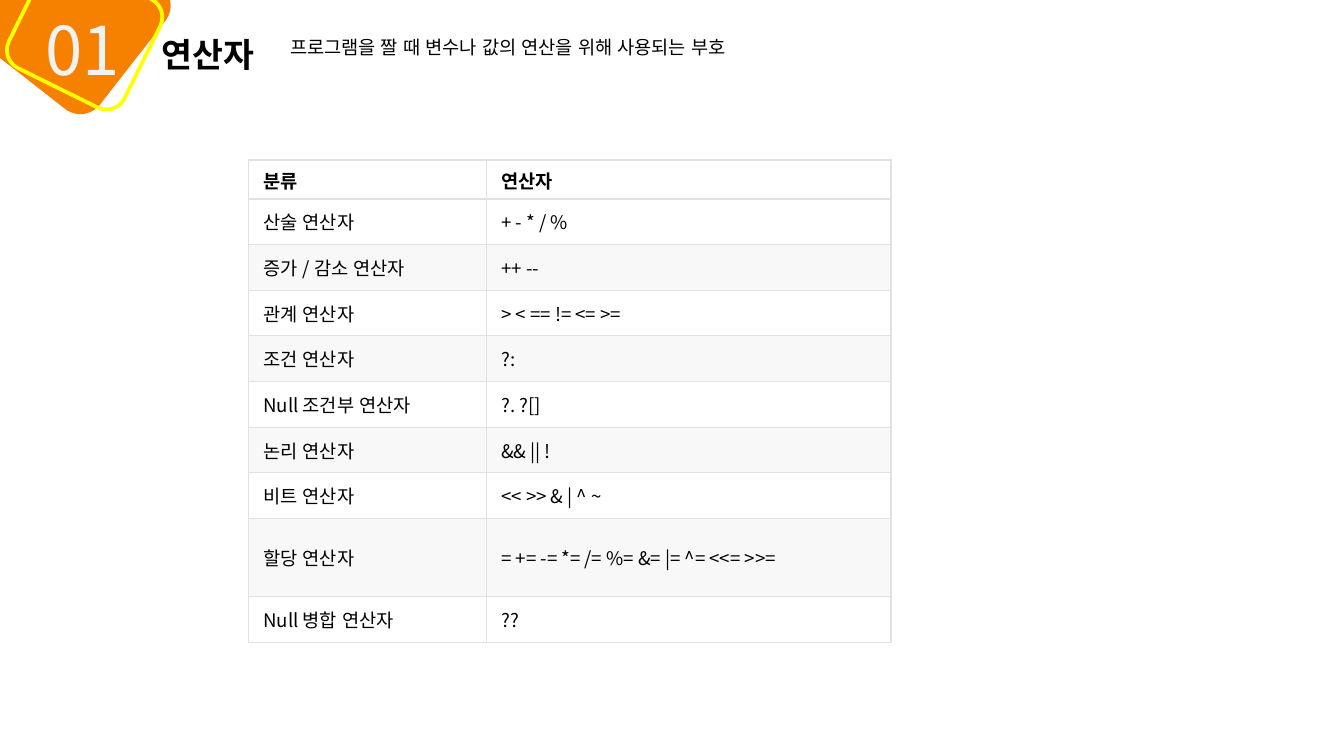
"""Build a slide that lists operator categories in a table."""
from typing import NamedTuple

from lxml import etree
from pptx import Presentation
from pptx import util as u
from pptx.dml.color import RGBColor
from pptx.enum import lang, shapes, text
from pptx.oxml.ns import qn

FONT = "Noto Sans CJK KR"
BLACK = RGBColor(0x00, 0x00, 0x00)
ORANGE = RGBColor(0xF6, 0x81, 0x00)
YELLOW = RGBColor(0xFF, 0xFF, 0x00)
PALE = RGBColor(0xF2, 0xF2, 0xF2)
BAND = RGBColor(0xF8, 0xF8, 0xF8)
BORDER = RGBColor(0xDF, 0xE2, 0xE5)

WIDTH = u.Inches(10)
HEIGHT = u.Emu(WIDTH * 9 // 16)
GRID_COLUMNS = 1000
GRID_ROWS = GRID_COLUMNS * 9 / 16


class Area(NamedTuple):
    """A rectangle in grid columns and rows."""
    column: int
    row: int
    columns: int
    rows: int


class Operator(NamedTuple):
    """A table row: category, symbols and height in grid rows."""
    category: str
    symbols: str
    rows: int = 34


class Badge(NamedTuple):
    """A rotated rounded square, either filled or outlined."""
    area: Area
    rotation: float
    fill: RGBColor | None = None
    line: RGBColor | None = None


TITLE = Area(110, 20, 96, 40)
NUMBER = Area(24, 1, 87, 71)
SUMMARY = Area(206, 22, 500, 27)
TABLE_LEFT, TABLE_TOP = 185, 119
TABLE_COLUMNS = (177, 301)
BADGES = (
    Badge(Area(-3, -43, 116, 111), 308, fill=ORANGE),
    Badge(Area(18, -23, 90, 96), 296.3, line=YELLOW),
)
OPERATORS = (
    Operator("분류", "연산자", 29),
    Operator("산술 연산자", "+ - * / %"),
    Operator("증가 / 감소 연산자", "++ --"),
    Operator("관계 연산자", "> < == != <= >="),
    Operator("조건 연산자", "?:"),
    Operator("Null 조건부 연산자", "?. ?[]"),
    Operator("논리 연산자", "&& || !"),
    Operator("비트 연산자", "<< >> & | ^ ~"),
    Operator("할당 연산자", "= += -= *= /= %= &= |= ^= <<= >>=", 58),
    Operator("Null 병합 연산자", "??"),
)


def across(columns: int) -> int:
    """Convert grid columns to a length."""
    return round(WIDTH * columns / GRID_COLUMNS)


def down(rows: int) -> int:
    """Convert grid rows to a length."""
    return round(HEIGHT * rows / GRID_ROWS)


def place(area: Area) -> tuple[int, int, int, int]:
    """Return left, top, width and height of an area."""
    return across(area.column), down(area.row), across(area.columns), down(area.rows)


def write(frame, words: str, size: float, color: RGBColor = BLACK, bold: bool = False) -> None:
    """Put one formatted left-aligned paragraph in a text frame."""
    frame.text = words
    para = frame.paragraphs[0]
    para.alignment = text.PP_ALIGN.LEFT
    for span in para.runs:
        span.font.size = u.Pt(size)
        span.font.bold = bold
        span.font.color.rgb = color
        span.font.name = FONT
        span.font.language_id = lang.MSO_LANGUAGE_ID.KOREAN
        etree.SubElement(span.font._element, qn("a:ea"), typeface=FONT)


def fit(frame, wrap: bool = True) -> None:
    """Anchor a frame at the top and let its shape grow with the text."""
    frame.word_wrap = wrap
    frame.auto_size = text.MSO_AUTO_SIZE.SHAPE_TO_FIT_TEXT
    frame.vertical_anchor = text.MSO_ANCHOR.TOP


def add_text(parent, area: Area, words: str, size: float, color: RGBColor = BLACK) -> None:
    """Add a wrapping text box."""
    box = parent.add_textbox(*place(area))
    write(box.text_frame, words, size, color)
    fit(box.text_frame)


def add_badge(parent, badge: Badge) -> None:
    """Add one rotated rounded square."""
    box = parent.add_shape(shapes.MSO_SHAPE.ROUNDED_RECTANGLE, *place(badge.area))
    box.rotation = badge.rotation
    box.shadow.inherit = False
    if badge.fill is None:
        box.fill.background()
    else:
        box.fill.solid()
        box.fill.fore_color.rgb = badge.fill
    if badge.line is None:
        box.line.fill.background()
    else:
        box.line.color.rgb = badge.line
        box.line.width = u.Pt(2)


def add_borders(cell) -> None:
    """Outline all four sides of a cell."""
    properties = cell._tc.get_or_add_tcPr()
    for side in ("a:lnL", "a:lnR", "a:lnT", "a:lnB"):
        line = etree.SubElement(properties, qn(side), w=str(u.Pt(0.75)))
        fill = etree.SubElement(line, qn("a:solidFill"))
        etree.SubElement(fill, qn("a:srgbClr"), val=str(BORDER))


def add_operator_table(page) -> None:
    """Add the table of operators with alternate rows shaded."""
    area = Area(TABLE_LEFT, TABLE_TOP, sum(TABLE_COLUMNS), sum(o.rows for o in OPERATORS))
    table = page.shapes.add_table(len(OPERATORS), len(TABLE_COLUMNS), *place(area)).table
    for column, columns in zip(table.columns, TABLE_COLUMNS):
        column.width = across(columns)
    for index, operator in enumerate(OPERATORS):
        table.rows[index].height = down(operator.rows)
        for cell, words in zip(table.rows[index].cells, (operator.category, operator.symbols)):
            write(cell.text_frame, words, 10, bold=index == 0)
            cell.vertical_anchor = text.MSO_ANCHOR.MIDDLE
            cell.margin_left = cell.margin_right = u.Inches(0.11)
            cell.margin_top = cell.margin_bottom = u.Inches(0.05)
            add_borders(cell)
            if index and index % 2 == 0:
                cell.fill.solid()
                cell.fill.fore_color.rgb = BAND
            else:
                cell.fill.background()


def main() -> None:
    """Build and save the deck."""
    deck = Presentation()
    deck.slide_width, deck.slide_height = WIDTH, HEIGHT
    page = deck.slides.add_slide(deck.slide_layouts[5])
    title = page.shapes.title
    title.left, title.top, title.width, title.height = place(TITLE)
    write(title.text_frame, "연산자", 18, bold=True)
    fit(title.text_frame, wrap=False)
    emblem = page.shapes.add_group_shape()
    for badge in BADGES:
        add_badge(emblem.shapes, badge)
    add_text(emblem.shapes, NUMBER, "01", 36, PALE)
    add_operator_table(page)
    add_text(page.shapes, SUMMARY, "프로그램을 짤 때 변수나 값의 연산을 위해 사용되는 부호", 10)
    deck.save("out.pptx")


if __name__ == "__main__":
    main()
